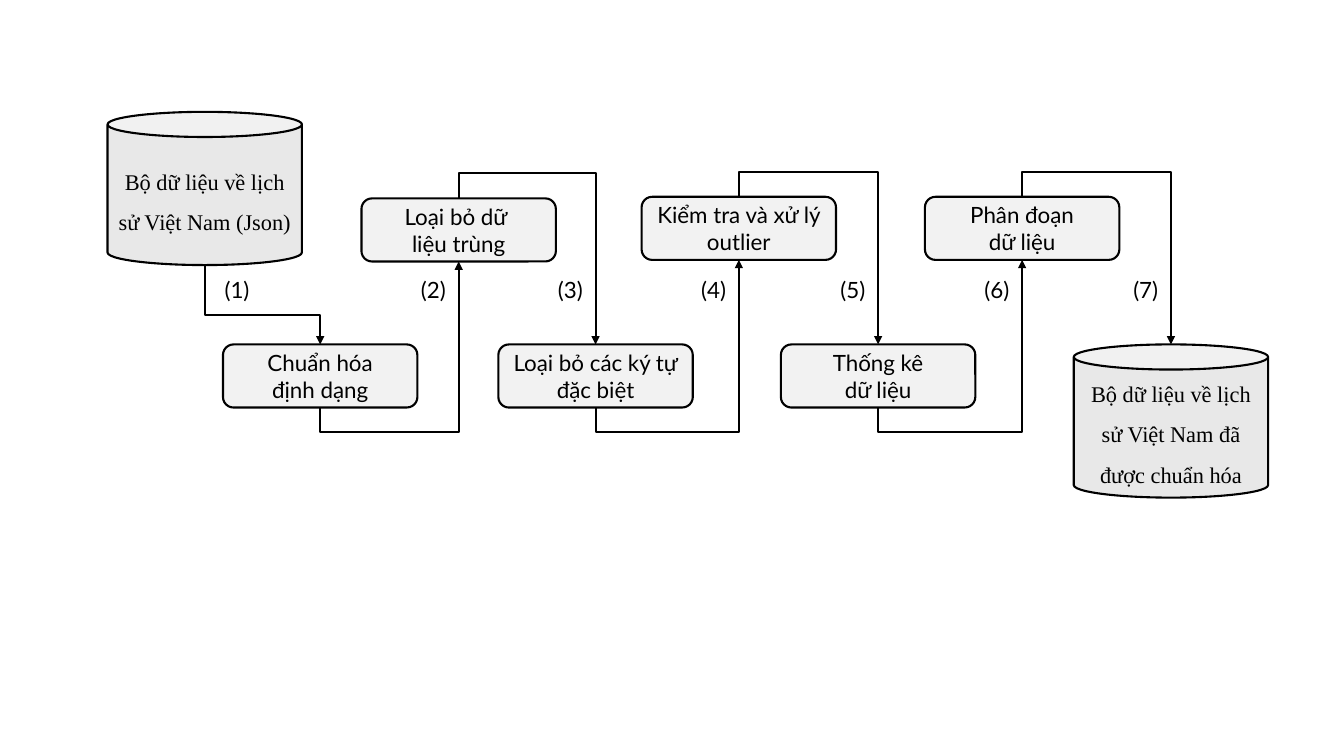
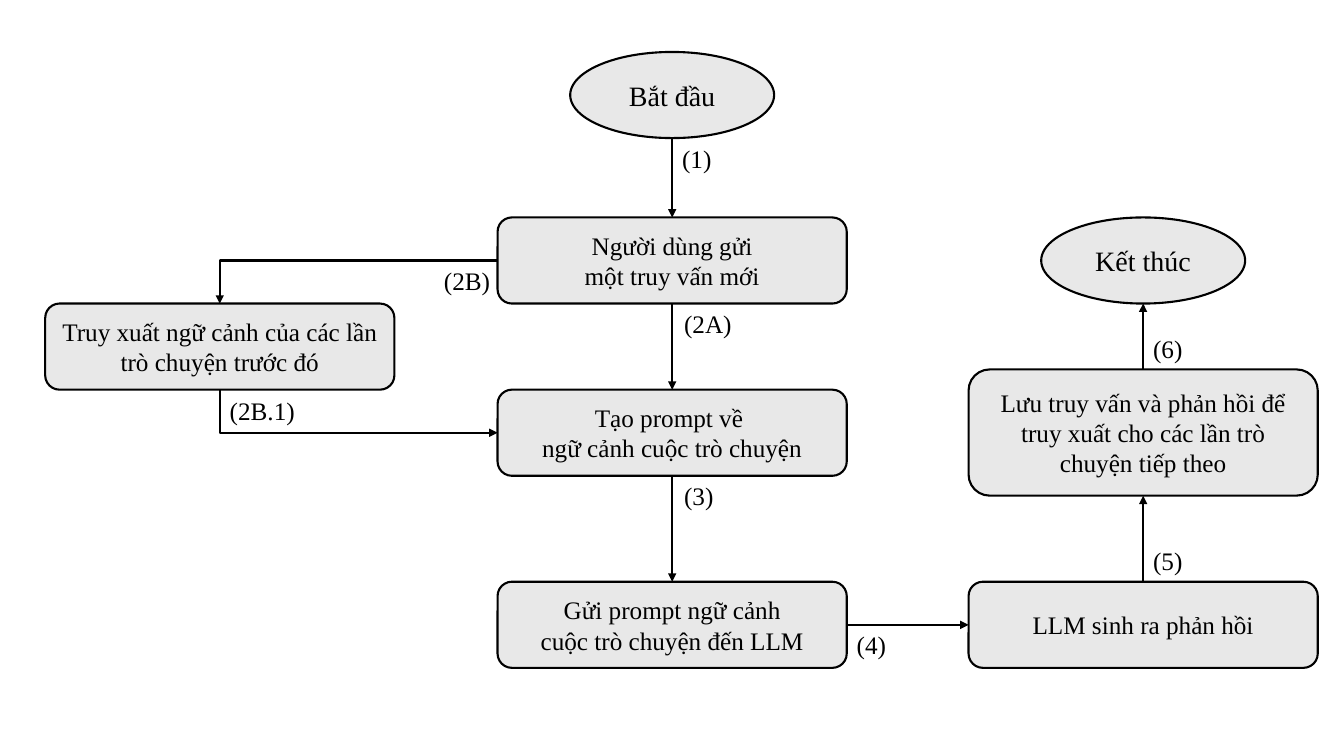
from lxml import etree
from pptx import Presentation
from pptx.dml.color import RGBColor
from pptx.enum.shapes import MSO_CONNECTOR, MSO_SHAPE
from pptx.enum.text import MSO_ANCHOR, MSO_AUTO_SIZE, PP_ALIGN
from pptx.oxml.ns import qn
from pptx.util import Cm, Pt

CAN, ROUND, OVAL = MSO_SHAPE.CAN, MSO_SHAPE.ROUNDED_RECTANGLE, MSO_SHAPE.OVAL
STRAIGHT, ELBOW = MSO_CONNECTOR.STRAIGHT, MSO_CONNECTOR.ELBOW
MIDDLE, CENTER = MSO_ANCHOR.MIDDLE, PP_ALIGN.CENTER
GROW = MSO_AUTO_SIZE.SHAPE_TO_FIT_TEXT

INK, GREY, PALE = "000000", "E8E8E8", "F2F2F2"
SERIF, SANS = "Times New Roman", "Lato"
LINE = Pt(1.5)

# Connection sites of each preset shape, by side
SITES = {
    CAN: {"top": 1, "left": 2, "bottom": 3, "right": 4},
    ROUND: {"top": 0, "left": 1, "bottom": 2, "right": 3},
    OVAL: {"top": 0, "left": 2, "bottom": 4, "right": 6},
}


def paint(color, code):
    color.rgb = RGBColor.from_string(code)


def style(par, face, size):
    par.font.name = face
    par.font.size = Pt(size)
    paint(par.font.color, INK)


def node(slide, kind, box, text, fill, face, size, space=None):
    """Outlined shape with centred text; box is left, top, width, height in cm."""
    shape = slide.shapes.add_shape(kind, *[Cm(v) for v in box])
    shape.shadow.inherit = False
    shape.fill.solid()
    paint(shape.fill.fore_color, fill)
    paint(shape.line.color, INK)
    shape.line.width = LINE
    frame = shape.text_frame
    frame.word_wrap = True
    frame.vertical_anchor = MIDDLE
    frame.text = text
    for par in frame.paragraphs:
        par.alignment = CENTER
        par.line_spacing = space
        style(par, face, size)
    return shape


def label(slide, x, y, wide, text, face, size):
    """One-line tag that fits its text; x and y in EMU, wide in cm."""
    box = slide.shapes.add_textbox(int(x), int(y), Cm(wide), Cm(size * 0.057))
    frame = box.text_frame
    frame.word_wrap = False
    frame.auto_size = GROW
    frame.text = text
    style(frame.paragraphs[0], face, size)


def port(shape, side):
    """Middle of one side of a shape."""
    x, y = shape.left + shape.width // 2, shape.top + shape.height // 2
    return {
        "top": (x, shape.top),
        "bottom": (x, shape.top + shape.height),
        "left": (shape.left, y),
        "right": (shape.left + shape.width, y),
    }[side]


def bend(wire, start, end, side, out):
    """Shape an elbow: out is the first leg in cm, None for a single corner."""
    (x1, y1), (x2, y2) = start, end
    props = wire._element.spPr
    geom = props.find(qn("a:prstGeom"))
    geom.set("prst", "bentConnector2" if out is None else "bentConnector3")
    if side in ("top", "bottom"):
        # A vertical first leg needs a quarter turn about the centre
        wide, high = abs(y2 - y1), abs(x2 - x1)
        wire.left = (x1 + x2 - wide) // 2
        wire.top = (y1 + y2 - high) // 2
        wire.width, wire.height = wide, high
        down = y2 > y1
        frame = props.find(qn("a:xfrm"))
        frame.set("rot", str((270 if down else 90) * 60000))
        frame.set("flipH", "1")
        frame.set("flipV", "0" if down else "1")
    if out is not None:
        leg = Cm(out) if side == "bottom" else -Cm(out)
        marks = geom.find(qn("a:avLst"))
        if marks is None:
            marks = etree.SubElement(geom, qn("a:avLst"))
        ratio = round(100000 * leg / (y2 - y1))
        etree.SubElement(marks, qn("a:gd"), name="adj1", fmla=f"val {ratio}")


def link(slide, a, aside, b, bside, out=None):
    """Glued arrow from a side of a to a side of b; returns both ends."""
    start, end = port(a, aside), port(b, bside)
    plain = out is None and (start[0] == end[0] or start[1] == end[1])
    wire = slide.shapes.add_connector(STRAIGHT if plain else ELBOW, *start, *end)
    glue = wire._element.find(qn("p:nvCxnSpPr")).find(qn("p:cNvCxnSpPr"))
    for tag, shape, side in (("a:stCxn", a, aside), ("a:endCxn", b, bside)):
        site = SITES[shape.auto_shape_type][side]
        etree.SubElement(glue, qn(tag), id=str(shape.shape_id), idx=str(site))
    if not plain:
        bend(wire, start, end, aside, out)
    paint(wire.line.color, INK)
    wire.line.width = LINE
    props = wire._element.spPr
    etree.SubElement(props.find(qn("a:ln")), qn("a:tailEnd"), type="triangle")
    etree.SubElement(props, qn("a:effectLst"))
    return start, end


def clean_flow(slide):
    """Data cleaning: a zigzag of steps between two stores."""
    wide, low = 4.9, 8.68

    def store(x, y, text):
        can = node(slide, CAN, (x, y, wide, 3.86), text, GREY, SERIF, 16, 1.5)
        can.adjustments[0] = 0.164
        return can

    steps = [
        (5.62, low, "Chuẩn hóa\nđịnh dạng"),
        (9.11, 5, "Loại bỏ dữ \nliệu trùng"),
        (12.56, low, "Loại bỏ các ký tự đặc biệt"),
        (16.17, 4.96, "Kiểm tra và xử lý outlier"),
        (19.68, low, "Thống kê\ndữ liệu"),
        (23.31, 4.96, "Phân đoạn\ndữ liệu"),
    ]
    chain = [store(2.71, 2.82, "Bộ dữ liệu về lịch sử Việt Nam (Json)")]
    chain += [node(slide, ROUND, (x, y, wide, 1.59), text, PALE, SANS, 16)
              for x, y, text in steps]
    chain.append(store(27.06, low, "Bộ dữ liệu về lịch sử Việt Nam đã được chuẩn hóa"))

    # Arrows leave alternately from below and above
    for i, (a, b) in enumerate(zip(chain, chain[1:]), 1):
        if i == 1:
            start, end = link(slide, a, "bottom", b, "top", 1.25)
            x = start[0] + Cm(0.25)
        else:
            side = "top" if i % 2 else "bottom"
            start, end = link(slide, a, side, b, side, 0.63)
            x = end[0] - Cm(1.2)
        label(slide, x, Cm(6.83), 1.17, f"({i})", SANS, 16)


def chat_flow(slide):
    """Chat query: three columns of steps from start to end."""
    left, mid, right = 5.54, 16.94, 28.81

    def step(x, y, text, high=2.17):
        return node(slide, ROUND, (x - 4.4, y, 8.8, high), text, GREY, SERIF, 18)

    def stop(x, y, text):
        return node(slide, OVAL, (x - 2.57, y, 5.14, 2.17), text, GREY, SERIF, 20)

    begin = stop(mid, 1.31, "Bắt đầu")
    ask = step(mid, 5.48, "Người dùng gửi\nmột truy vấn mới")
    past = step(left, 7.65, "Truy xuất ngữ cảnh của các lần trò chuyện trước đó")
    prompt = step(mid, 9.82, "Tạo prompt về \nngữ cảnh cuộc trò chuyện")
    send = step(mid, 14.66, "Gửi prompt ngữ cảnh\ncuộc trò chuyện đến LLM")
    reply = step(right, 14.66, "LLM sinh ra phản hồi")
    save = step(right, 9.31, "Lưu truy vấn và phản hồi để truy xuất "
                "cho các lần trò chuyện tiếp theo", 3.18)
    done = stop(right, 5.48, "Kết thúc")

    # Each arrow with its label: width, then offset in cm from the arrow's start
    for a, aside, b, bside, text, wide, dx, dy in [
        (begin, "bottom", ask, "top", "(1)", 1.27, 0, 0),
        (ask, "bottom", prompt, "top", "(2A)", 1.73, 0.05, 0),
        (ask, "left", past, "top", "(2B)", 1.68, -1.6, 0),
        (past, "bottom", prompt, "left", "(2B.1)", 2.16, 0, 0.02),
        (prompt, "bottom", send, "top", "(3)", 1.27, 0.05, 0),
        (send, "right", reply, "left", "(4)", 1.27, 0, 0),
        (reply, "top", save, "bottom", "(5)", 1.27, 0, -1.04),
        (save, "top", done, "bottom", "(6)", 1.27, 0, -1.04),
    ]:
        (x, y), _ = link(slide, a, aside, b, bside)
        label(slide, x + Cm(dx), y + Cm(dy), wide, text, SERIF, 18)


def main():
    deck = Presentation()
    deck.slide_width, deck.slide_height = Cm(33.87), Cm(19.05)
    blank = deck.slide_layouts[6]
    for draw in (clean_flow, chat_flow):
        draw(deck.slides.add_slide(blank))
    deck.save("out.pptx")


if __name__ == "__main__":
    main()
